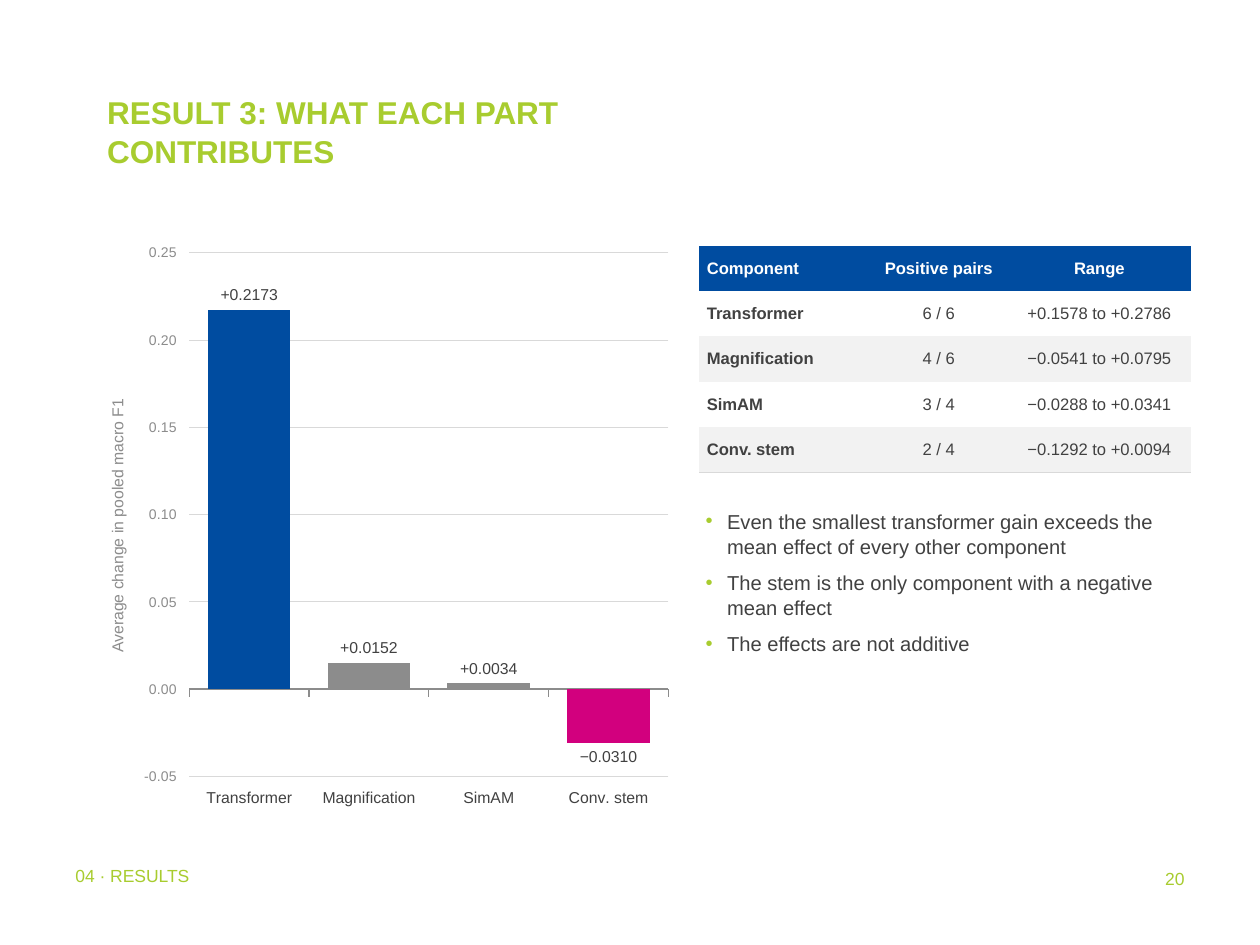
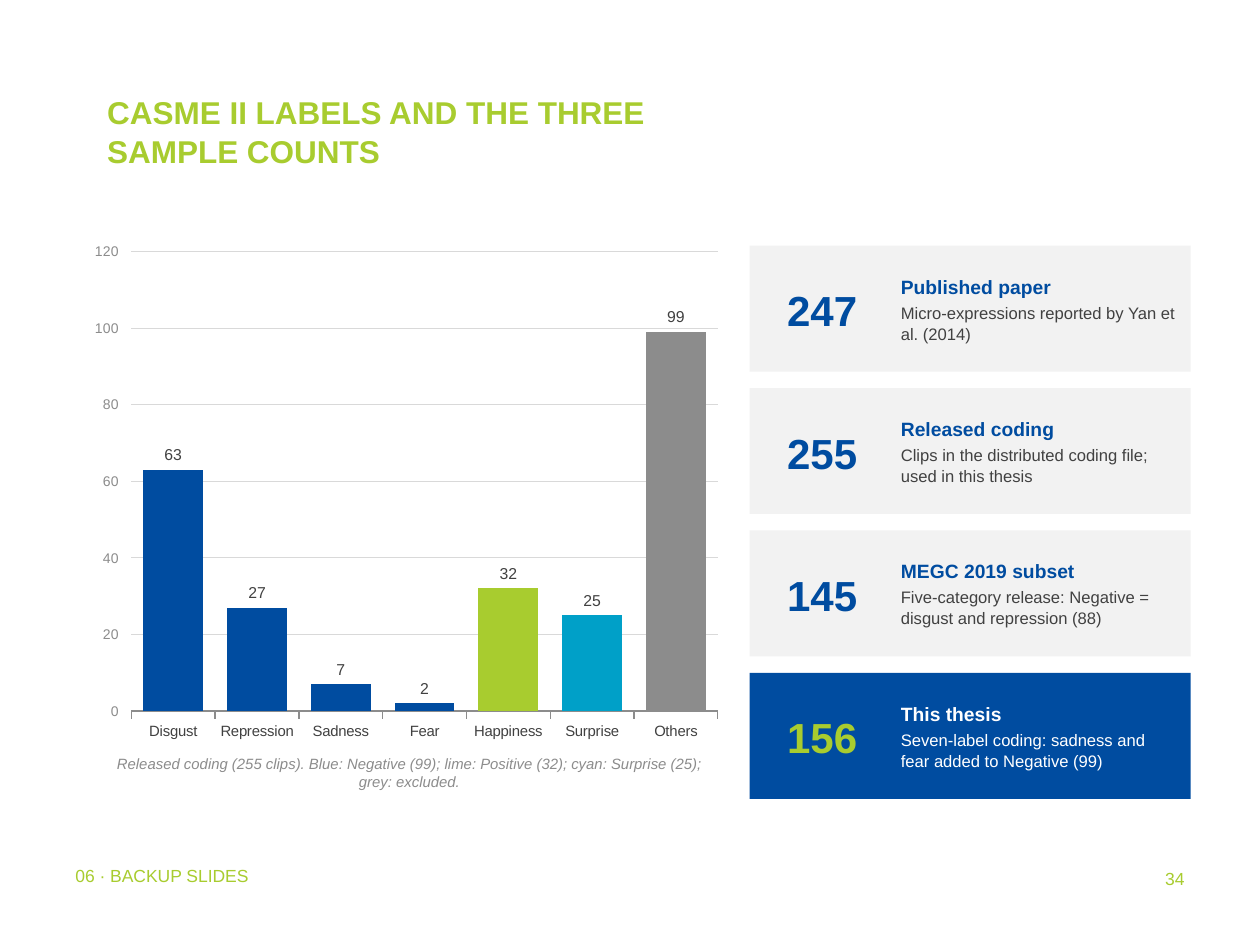
import pptx
import pptx.chart.data
import pptx.dml.color
import pptx.enum.chart
import pptx.enum.shapes
import pptx.enum.text
import pptx.oxml
import pptx.oxml.ns
import pptx.util
from lxml import etree

Inches = pptx.util.Inches
Pt = pptx.util.Pt
ALIGN = pptx.enum.text.PP_ALIGN
ANCHOR = pptx.enum.text.MSO_ANCHOR
qn = pptx.oxml.ns.qn

COLOURS = {
    "lime": "A8CC2F",
    "blue": "004CA0",
    "cyan": "00A0C8",
    "magenta": "D2007E",
    "grey": "8C8C8C",
    "text": "414141",
    "rule": "D9D9D9",
    "panel": "F2F2F2",
    "white": "FFFFFF",
}
FONT = "Arial"
NO_TABLE_STYLE = "{2D5ABB26-0587-4C30-8999-92F81FD0307C}"
LAYOUT_CONTENT, LAYOUT_TITLE_ONLY = 1, 5


def rgb(name):
    return pptx.dml.color.RGBColor.from_string(COLOURS[name])


def paint(target, name):
    target.fill.solid()
    target.fill.fore_color.rgb = rgb(name)


class Deck:
    def __init__(self):
        self.presentation = pptx.Presentation()
        self.presentation.slide_width = Inches(10)
        self.presentation.slide_height = Inches(7.5)
        self.slide = None

    def start_slide(self, layout, title, section, number):
        self.slide = self.presentation.slides.add_slide(
            self.presentation.slide_layouts[layout])
        heading = self.slide.shapes.title
        self.place(heading, 0.75, 0.67, 5.42, 1.25)
        self.set_text(heading.text_frame, [title], 18, "lime", bold=True, margins=(0.1, 0.05))
        self.text(0.5, 6.83, 5.67, 0.4, [section], 10, "lime", margins=(0.1, 0.03))
        self.text(7.42, 6.83, 2.08, 0.5, [number], 10, "lime",
                  align=ALIGN.RIGHT, margins=(0.1, 0.05))

    def place(self, shape, left, top, width, height):
        shape.left, shape.top = Inches(left), Inches(top)
        shape.width, shape.height = Inches(width), Inches(height)

    def font(self, font, size, colour, bold=False, italic=False):
        font.name = FONT
        font.size = Pt(size)
        font.bold = bold
        font.italic = italic
        font.color.rgb = rgb(colour)

    def set_text(self, frame, lines, size, colour, bold=False, italic=False,
                 align=ALIGN.LEFT, anchor=ANCHOR.TOP, margins=(0.05, 0.03),
                 after=0, bulleted=False):
        frame.word_wrap = True
        frame.auto_size = pptx.enum.text.MSO_AUTO_SIZE.NONE
        frame.vertical_anchor = anchor
        frame.margin_left = frame.margin_right = Inches(margins[0])
        frame.margin_top = frame.margin_bottom = Inches(margins[1])
        frame.text = "\n".join(lines)
        for paragraph in frame.paragraphs:
            if bulleted:
                self.bullet(paragraph)
            paragraph.alignment = align
            paragraph.line_spacing = 1.05
            paragraph.space_before = Pt(0)
            paragraph.space_after = Pt(after)
            self.font(paragraph.font, size, colour, bold, italic)

    def bullet(self, paragraph):
        properties = paragraph._p.get_or_add_pPr()
        properties.set("marL", str(Inches(0.17)))
        properties.set("indent", str(-Inches(0.17)))
        tint = etree.SubElement(properties, qn("a:buClr"))
        etree.SubElement(tint, qn("a:srgbClr")).set("val", COLOURS["lime"])
        etree.SubElement(properties, qn("a:buChar")).set("char", "•")

    def text(self, left, top, width, height, lines, size, colour, **style):
        box = self.slide.shapes.add_textbox(
            Inches(left), Inches(top), Inches(width), Inches(height))
        self.set_text(box.text_frame, lines, size, colour, **style)
        return box.text_frame

    def bullets(self, left, top, width, height, lines):
        body = self.slide.placeholders[1]
        self.place(body, left, top, width, height)
        self.set_text(body.text_frame, lines, 11.5, "text", after=6, bulleted=True)

    def panel(self, left, top, width, height, colour):
        panel = self.slide.shapes.add_shape(
            pptx.enum.shapes.MSO_SHAPE.RECTANGLE,
            Inches(left), Inches(top), Inches(width), Inches(height))
        panel.shadow.inherit = False
        paint(panel, colour)
        panel.line.fill.background()

    def card(self, top, count, heading, detail, fill, count_colour, heading_colour, detail_colour):
        self.panel(5.95, top, 3.5, 1, fill)
        self.text(6, top, 1.05, 1, [count], 24, count_colour, bold=True,
                  align=ALIGN.CENTER, anchor=ANCHOR.MIDDLE)
        frame = self.text(7.1, top, 2.3, 1, [heading, detail], 9.5, detail_colour,
                          anchor=ANCHOR.MIDDLE, after=3)
        first = frame.paragraphs[0]
        first.space_after = Pt(2)
        self.font(first.font, 11, heading_colour, bold=True)

    def columns(self, left, top, width, height, bars, scale, axis_format,
                label_format, category_size, gap, axis_title=None):
        data = pptx.chart.data.CategoryChartData()
        data.categories = [name for name, _, _ in bars]
        data.add_series("Series 1", [value for _, value, _ in bars])
        chart = self.slide.shapes.add_chart(
            pptx.enum.chart.XL_CHART_TYPE.COLUMN_CLUSTERED,
            Inches(left), Inches(top), Inches(width), Inches(height), data).chart
        chart.has_legend = False
        chart.has_title = False
        self.font(chart.font, category_size, "text")

        plot = chart.plots[0]
        plot.gap_width = gap
        plot.vary_by_categories = False
        series = plot.series[0]
        series.invert_if_negative = False
        paint(series.format, "blue")
        for index, (_, _, colour) in enumerate(bars):
            paint(series.points[index].format, colour)
        labels = series.data_labels
        labels.show_value = True
        labels.position = pptx.enum.chart.XL_LABEL_POSITION.OUTSIDE_END
        labels.number_format = label_format
        labels.number_format_is_linked = False
        self.font(labels.font, 9, "text")

        categories = chart.category_axis
        categories.tick_label_position = pptx.enum.chart.XL_TICK_LABEL_POSITION.LOW
        categories.format.line.color.rgb = rgb("grey")
        categories.format.line.width = Pt(0.75)
        self.font(categories.tick_labels.font, category_size, "text")

        values = chart.value_axis
        values.minimum_scale, values.maximum_scale, values.major_unit = scale
        values.format.line.fill.background()
        values.major_gridlines.format.line.color.rgb = rgb("rule")
        values.major_gridlines.format.line.width = Pt(0.5)
        values.tick_labels.number_format = axis_format
        values.tick_labels.number_format_is_linked = False
        self.font(values.tick_labels.font, 8, "grey")
        if axis_title:
            frame = values.axis_title.text_frame
            frame.text = axis_title
            frame._txBody.bodyPr.set("rot", "-5400000")
            frame._txBody.bodyPr.set("vert", "horz")
            self.font(frame.paragraphs[0].font, 9, "grey")

    def table(self, left, top, widths, row_height, rows):
        table = self.slide.shapes.add_table(
            len(rows), len(widths), Inches(left), Inches(top),
            Inches(sum(widths)), Inches(row_height * len(rows))).table
        table._tbl.tblPr.find(qn("a:tableStyleId")).text = NO_TABLE_STYLE
        table.horz_banding = False
        for column, width in zip(table.columns, widths):
            column.width = Inches(width)
        for r, row in enumerate(rows):
            table.rows[r].height = Inches(row_height)
            for c, entry in enumerate(row):
                self.cell(table.cell(r, c), entry, r, c)
        for cell in table.rows[len(rows) - 1].cells:
            self.bottom_rule(cell)

    def cell(self, cell, entry, row, column):
        cell.vertical_anchor = ANCHOR.MIDDLE
        cell.margin_left = cell.margin_right = Inches(0.06)
        cell.margin_top = cell.margin_bottom = Inches(0.02)
        paint(cell, "blue" if row == 0 else "white" if row % 2 else "panel")
        cell.text = entry
        paragraph = cell.text_frame.paragraphs[0]
        paragraph.alignment = ALIGN.CENTER if column else ALIGN.LEFT
        self.font(paragraph.font, 9.5, "text" if row else "white",
                  bold=row == 0 or column == 0)

    def bottom_rule(self, cell):
        properties = cell._tc.get_or_add_tcPr()
        border = etree.Element(qn("a:lnB"), w=str(Pt(0.75)))
        fill = etree.SubElement(border, qn("a:solidFill"))
        etree.SubElement(fill, qn("a:srgbClr")).set("val", COLOURS["rule"])
        properties.insert(0, border)


def component_slide(deck):
    deck.start_slide(LAYOUT_CONTENT, "RESULT 3: WHAT EACH PART CONTRIBUTES",
                     "04 · RESULTS", "20")
    effects = [
        ("Transformer", 0.2173, "blue"),
        ("Magnification", 0.0152, "grey"),
        ("SimAM", 0.0034, "grey"),
        ("Conv. stem", -0.031, "magenta"),
    ]
    deck.columns(0.65, 1.85, 4.75, 4.65, effects, (-0.05, 0.25, 0.05), "0.00",
                 "+0.0000;−0.0000", 9, 45, "Average change in pooled macro F1")
    deck.table(5.55, 1.95, [1.35, 1.1, 1.45], 0.36, [
        ("Component", "Positive pairs", "Range"),
        ("Transformer", "6 / 6", "+0.1578 to +0.2786"),
        ("Magnification", "4 / 6", "−0.0541 to +0.0795"),
        ("SimAM", "3 / 4", "−0.0288 to +0.0341"),
        ("Conv. stem", "2 / 4", "−0.1292 to +0.0094"),
    ])
    deck.bullets(5.55, 4, 3.9, 2.45, [
        "Even the smallest transformer gain exceeds the mean effect of every other component",
        "The stem is the only component with a negative mean effect",
        "The effects are not additive",
    ])


def sample_slide(deck):
    deck.start_slide(LAYOUT_TITLE_ONLY, "CASME II LABELS AND THE THREE SAMPLE COUNTS",
                     "06 · BACKUP SLIDES", "34")
    clips = [
        ("Disgust", 63, "blue"),
        ("Repression", 27, "blue"),
        ("Sadness", 7, "blue"),
        ("Fear", 2, "blue"),
        ("Happiness", 32, "lime"),
        ("Surprise", 25, "cyan"),
        ("Others", 99, "grey"),
    ]
    deck.columns(0.65, 1.85, 5.15, 4.1, clips, (0, 120, 20), "0", "0", 8.5, 40)
    deck.text(0.75, 5.95, 5, 0.5,
              ["Released coding (255 clips). Blue: Negative (99); lime: Positive (32); "
               "cyan: Surprise (25); grey: excluded."],
              8.5, "grey", italic=True, align=ALIGN.CENTER, after=3)
    plain = ("panel", "blue", "blue", "text")
    highlighted = ("blue", "lime", "white", "white")
    counts = [
        ("247", "Published paper", "Micro-expressions reported by Yan et al. (2014)", plain),
        ("255", "Released coding", "Clips in the distributed coding file; used in this thesis", plain),
        ("145", "MEGC 2019 subset",
         "Five-category release: Negative = disgust and repression (88)", plain),
        ("156", "This thesis",
         "Seven-label coding: sadness and fear added to Negative (99)", highlighted),
    ]
    for position, (count, heading, detail, colours) in enumerate(counts):
        deck.card(1.95 + 1.13 * position, count, heading, detail, *colours)


def main():
    deck = Deck()
    component_slide(deck)
    sample_slide(deck)
    deck.presentation.save("out.pptx")


if __name__ == "__main__":
    main()
